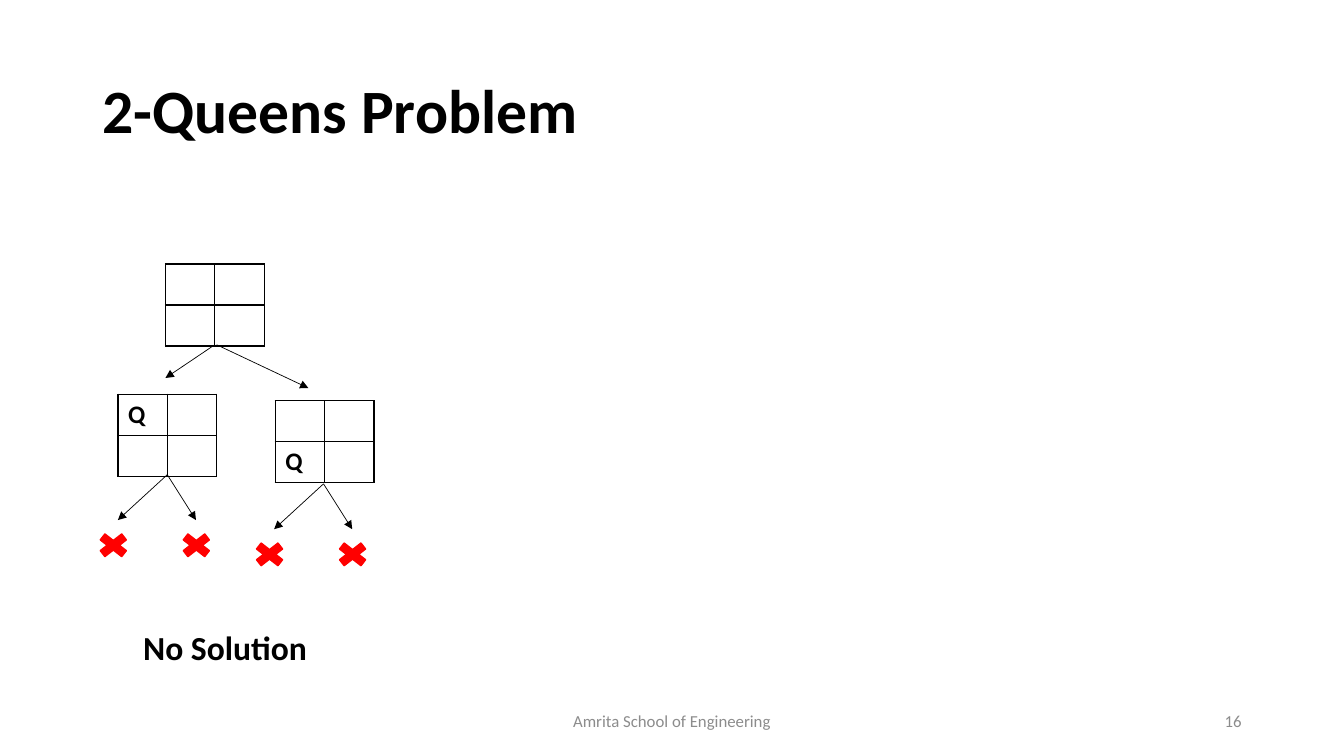
"""Build the 2-Queens Problem slide with its search tree of boards."""
from lxml import etree
from pptx import Presentation
from pptx.dml.color import RGBColor
from pptx.enum.shapes import MSO_CONNECTOR, MSO_SHAPE
from pptx.enum.text import MSO_ANCHOR, MSO_AUTO_SIZE, PP_ALIGN
from pptx.oxml.ns import qn
from pptx.util import Pt

BLACK = RGBColor(0x00, 0x00, 0x00)
GRAY = RGBColor(0x8C, 0x8C, 0x8C)
RED = RGBColor(0xFF, 0x00, 0x00)
LEFT, CENTER, RIGHT = PP_ALIGN.LEFT, PP_ALIGN.CENTER, PP_ALIGN.RIGHT
TOP, MIDDLE = MSO_ANCHOR.TOP, MSO_ANCHOR.MIDDLE
NO_AUTOSIZE = MSO_AUTO_SIZE.NONE
STRAIGHT = MSO_CONNECTOR.STRAIGHT
MULTIPLY = MSO_SHAPE.MATH_MULTIPLY
CELL_WIDTH, CELL_HEIGHT = 35.3, 29.3


def write(frame, text, size, color, bold, align=LEFT):
    para = frame.paragraphs[0]
    para.alignment = align
    span = para.add_run()
    span.text = text
    span.font.name = "Calibri"
    span.font.size = Pt(size)
    span.font.bold = bold
    span.font.color.rgb = color


def add_arrow(start_x, start_y, end_x, end_y):
    arrow = page.shapes.add_connector(
        STRAIGHT, Pt(start_x), Pt(start_y), Pt(end_x), Pt(end_y))
    arrow.line.color.rgb = BLACK
    arrow.line.width = Pt(0.5)
    etree.SubElement(arrow.line._get_or_add_ln(), qn("a:tailEnd"), type="triangle")
    etree.SubElement(arrow._element.spPr, qn("a:effectLst"))


deck = Presentation()
deck.slide_width, deck.slide_height = Pt(960), Pt(540)
page = deck.slides.add_slide(deck.slide_layouts[5])

title = page.shapes.title
title.left, title.top, title.width, title.height = Pt(66), Pt(28.8), Pt(828), Pt(104.4)
title.text_frame.auto_size = NO_AUTOSIZE
title.text_frame.vertical_anchor = MIDDLE
write(title.text_frame, "2-Queens Problem", 44, BLACK, True)
title.text_frame.paragraphs[0].line_spacing = 0.9

labels = [
    ("Amrita School of Engineering", 318, 500.5, 324, 28.8, 12, GRAY, False, CENTER, MIDDLE),
    ("16", 678, 500.5, 216, 28.8, 12, GRAY, False, RIGHT, MIDDLE),
    ("No Solution", 95.2, 444.2, 142, 36, 24, BLACK, True, LEFT, TOP),
]
for text, left, top, width, height, size, color, bold, align, anchor in labels:
    box = page.shapes.add_textbox(Pt(left), Pt(top), Pt(width), Pt(height))
    box.text_frame.word_wrap = True
    box.text_frame.vertical_anchor = anchor
    write(box.text_frame, text, size, color, bold, align)

boards = [(118.2, 188.6, None), (84.3, 281.5, (0, 0)), (196.6, 286.2, (1, 0))]
for left, top, queen in boards:
    board = page.shapes.add_table(
        2, 2, Pt(left), Pt(top), Pt(2 * CELL_WIDTH), Pt(2 * CELL_HEIGHT)).table
    for row in board.rows:
        row.height = Pt(CELL_HEIGHT)
    for column in board.columns:
        column.width = Pt(CELL_WIDTH)
    for cell in board.iter_cells():
        borders = cell._tc.get_or_add_tcPr()
        for side in ("lnL", "lnR", "lnT", "lnB"):
            border = etree.SubElement(borders, qn(f"a:{side}"), w=str(Pt(1)))
            fill = etree.SubElement(border, qn("a:solidFill"))
            etree.SubElement(fill, qn("a:srgbClr"), val=str(BLACK))
        cell.fill.background()
    if queen:
        write(board.cell(*queen).text_frame, "Q", 18, BLACK, True)

add_arrow(153.4, 246.3, 118.2, 270)
add_arrow(154.8, 246.3, 220.3, 277.2)

for fork_x, fork_y in [(119.5, 339.1), (231.1, 345.6)]:
    for arrow_shift, cross_shift in [(-35.3, -53.3), (20.5, 6)]:
        add_arrow(fork_x, fork_y, fork_x + arrow_shift, fork_y + 32.4)
        cross = page.shapes.add_shape(
            MULTIPLY, Pt(fork_x + cross_shift), Pt(fork_y + 38.9), Pt(29.5), Pt(23))
        cross.shadow.inherit = False
        cross.fill.solid()
        cross.fill.fore_color.rgb = RED
        cross.line.color.rgb = RED
        cross.line.width = Pt(1)

deck.save("out.pptx")
